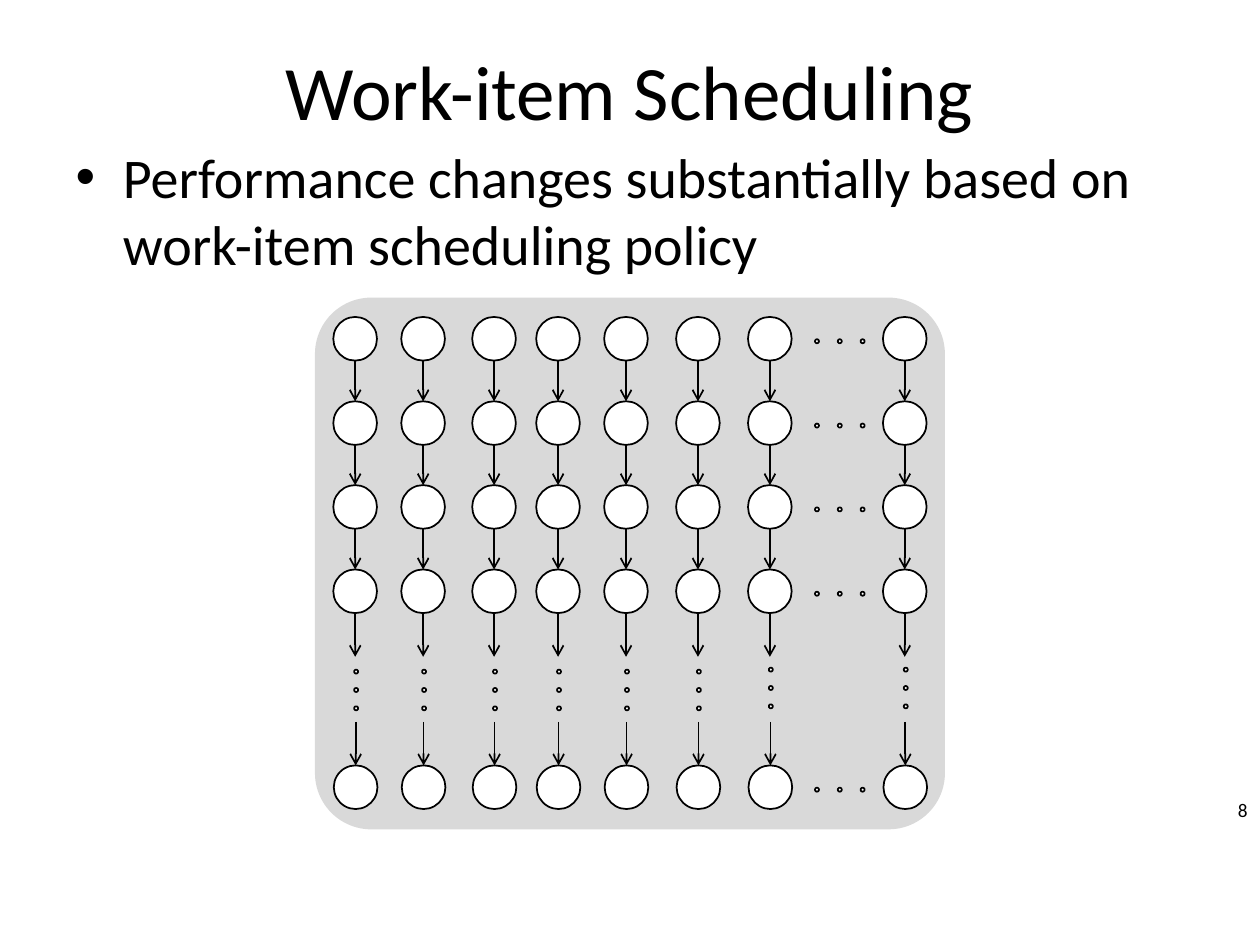
"""Build a slide showing a grid of work-items and their order."""
from lxml.etree import SubElement as Sub
from pptx import Presentation as Deck
from pptx.dml.color import RGBColor as Rgb
from pptx.enum.shapes import MSO_CONNECTOR as Link, MSO_SHAPE as Form
from pptx.enum.text import MSO_ANCHOR as Anchor, MSO_AUTO_SIZE as Fit, PP_ALIGN as Align
from pptx.oxml.ns import qn
from pptx.util import Cm, Pt

HUES = {"ink": "000000", "node": "FFFFFF", "panel": "D9D9D9"}
FONT = "Calibri"
COLS = [7.16, 8.53, 9.96, 11.25, 12.62, 14.07, 15.52, 18.24]
ROWS = [6.83, 8.53, 10.22, 11.92]
LAST = 15.87
NODE = 0.88
DOT = 0.08
STUB = 0.88


def hue(name):
    return Rgb.from_string(HUES[name])


def write(frame, text, size, align, anchor):
    frame.word_wrap = True
    frame.auto_size = Fit.NONE
    frame.vertical_anchor = anchor
    para = frame.paragraphs[0]
    para.alignment = align
    run = para.add_run()
    run.text = text
    run.font.name = FONT
    run.font.size = Pt(size)
    run.font.color.rgb = hue("ink")


def place(shape, left, top, width, height):
    shape.left, shape.top = Cm(left), Cm(top)
    shape.width, shape.height = Cm(width), Cm(height)


def add_panel(shapes):
    panel = shapes.add_shape(Form.ROUNDED_RECTANGLE, Cm(6.35), Cm(6), Cm(12.7), Cm(10.72))
    panel.adjustments[0] = 0.106
    panel.shadow.inherit = False
    panel.fill.solid()
    panel.fill.fore_color.rgb = hue("panel")
    panel.line.fill.background()


def add_disc(shapes, x, y, size):
    disc = shapes.add_shape(Form.OVAL, Cm(x - size / 2), Cm(y - size / 2), Cm(size), Cm(size))
    disc.shadow.inherit = False
    disc.fill.solid()
    disc.fill.fore_color.rgb = hue("node")
    disc.line.color.rgb = hue("ink")
    disc.line.width = Pt(1)


def add_arrow(shapes, x, top, end):
    arrow = shapes.add_connector(Link.STRAIGHT, Cm(x), Cm(top), Cm(x), Cm(end))
    arrow.line.color.rgb = hue("ink")
    arrow.line.width = Pt(1)
    Sub(arrow.line._get_or_add_ln(), qn("a:tailEnd"), type="arrow")
    Sub(arrow._element.spPr, qn("a:effectLst"))


def add_dots(shapes, x, y, dx, dy):
    for step in (-1, 0, 1):
        add_disc(shapes, x + step * dx, y + step * dy, DOT)


def add_grid(shapes):
    half = NODE / 2
    ends = [y - half for y in ROWS[1:]] + [ROWS[-1] + half + STUB]
    for col, x in enumerate(COLS):
        for y, end in zip(ROWS, ends):
            add_disc(shapes, x, y, NODE)
            add_arrow(shapes, x, y + half, end)
        add_dots(shapes, x + 0.02, 13.91 if col < 6 else 13.87, 0, 0.37)
        add_arrow(shapes, x + 0.01, LAST - half - STUB, LAST - half)
        add_disc(shapes, x + 0.01, LAST, NODE)
    for y in ROWS + [LAST]:
        add_dots(shapes, 16.93, y + 0.05, 0.46, 0)


def main():
    deck = Deck()
    deck.slide_width, deck.slide_height = Cm(25.4), Cm(19.05)
    slide = deck.slides.add_slide(deck.slide_layouts[1])
    title, body = slide.placeholders
    place(title, 1.27, 0.76, 22.86, 3.18)
    write(title.text_frame, "Work-item Scheduling", 44, Align.CENTER, Anchor.TOP)
    place(body, 1.27, 2.74, 22.86, 12.57)
    write(body.text_frame,
          "Performance changes substantially based on work-item scheduling policy",
          32, Align.LEFT, Anchor.TOP)
    group = slide.shapes.add_group_shape()
    add_panel(group.shapes)
    add_grid(group.shapes)
    page = slide.shapes.add_textbox(Cm(24.16), Cm(16.08), Cm(1.24), Cm(0.51))
    write(page.text_frame, "8", 11, Align.RIGHT, Anchor.MIDDLE)
    deck.save("out.pptx")


if __name__ == "__main__":
    main()
